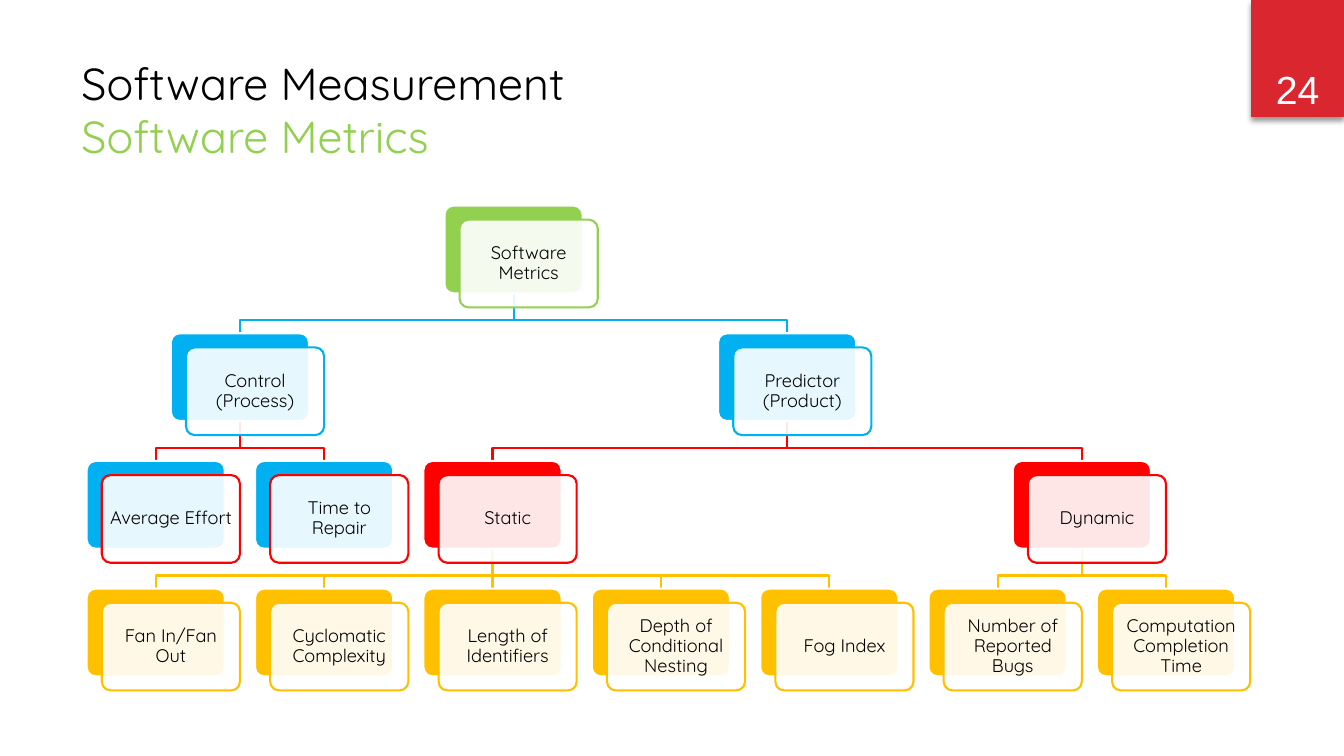
import dataclasses

import lxml.etree
import pptx
import pptx.dml.color
import pptx.enum.shapes
import pptx.enum.text
import pptx.oxml
import pptx.oxml.ns
import pptx.util

In = pptx.util.Inches
Pt = pptx.util.Pt
SHAPE = pptx.enum.shapes.MSO_SHAPE
ALIGN = pptx.enum.text.PP_ALIGN
ANCHOR = pptx.enum.text.MSO_ANCHOR


@dataclasses.dataclass(frozen=True)
class Theme:
    """Colours, fonts and type sizes of the slide."""
    black: str = "000000"
    white: str = "FFFFFF"
    green: str = "92D050"
    blue: str = "00B0F0"
    red: str = "FF0000"
    amber: str = "FFC000"
    badge: str = "DA272F"
    font: str = "Quicksand"
    badge_font: str = "Arial"
    title_size: int = 32
    badge_size: int = 28
    card_size: int = 13
    line: float = 1.5


T = Theme()
CARD_W, CARD_H = 1.37, 0.87
SHIFT_X, SHIFT_Y = 0.15, 0.14
ELBOW = 0.13
COLUMNS, ROWS = 7, 4


@dataclasses.dataclass
class Node:
    """A card of the tree; a leaf gives its column, a parent sits midway over its children."""
    text: str
    back: str
    front: str
    column: float = 0
    children: tuple = ()

    def __post_init__(self):
        """Centre a parent between its first and last child."""
        if self.children:
            self.column = (self.children[0].column + self.children[-1].column) / 2


def leaves(first, names):
    """Return the bottom-row metrics in consecutive columns."""
    return tuple(Node(name, T.amber, T.amber, i) for i, name in enumerate(names, first))


STATIC = Node("Static", T.red, T.red, children=leaves(0, [
    "Fan In/Fan Out", "Cyclomatic Complexity", "Length of Identifiers",
    "Depth of Conditional Nesting", "Fog Index"]))
DYNAMIC = Node("Dynamic", T.red, T.red, children=leaves(5, [
    "Number of Reported Bugs", "Computation Completion Time"]))
CONTROL = Node("Control (Process)", T.blue, T.blue, children=(
    Node("Average Effort", T.blue, T.red, 0), Node("Time to Repair", T.blue, T.red, 1)))
PREDICTOR = Node("Predictor (Product)", T.blue, T.blue, children=(STATIC, DYNAMIC))
METRICS = Node("Software Metrics", T.green, T.green, children=(CONTROL, PREDICTOR))


def rgb(value):
    """Turn a hex string into a colour."""
    return pptx.dml.color.RGBColor.from_string(value)


def set_font(p, size, color, name=T.font):
    """Set the font of a paragraph."""
    p.font.size, p.font.name = Pt(size), name
    p.font.color.rgb = rgb(color)


def set_line(sp, color):
    """Give a shape or connector the common outline."""
    sp.line.color.rgb = rgb(color)
    sp.line.width = Pt(T.line)


def add_title(slide, box, first, second):
    """Place the two-colour title in the box."""
    sp = slide.shapes.add_textbox(*map(In, box))
    tf = sp.text_frame
    tf.word_wrap = True
    p = tf.paragraphs[0]
    p.add_run().text = first
    p.add_line_break()
    r = p.add_run()
    r.text = second
    set_font(p, T.title_size, T.black)
    r.font.color.rgb = rgb(T.green)


def add_badge(slide, box, number):
    """Place the page number on a shadowed block."""
    sp = slide.shapes.add_shape(SHAPE.RECTANGLE, *map(In, box))
    sp.fill.solid()
    sp.fill.fore_color.rgb = rgb(T.badge)
    sp.line.fill.background()
    effects = pptx.oxml.parse_xml(
        f'<a:effectLst {pptx.oxml.ns.nsdecls("a")}>'
        f'<a:outerShdw blurRad="{Pt(4)}" dist="{Pt(3)}" dir="5400000" rotWithShape="0">'
        f'<a:srgbClr val="{T.black}"><a:alpha val="40000"/></a:srgbClr>'
        '</a:outerShdw></a:effectLst>')
    sp._element.spPr.append(effects)
    tf = sp.text_frame
    tf.vertical_anchor = ANCHOR.BOTTOM
    p = tf.paragraphs[0]
    p.text, p.alignment = number, ALIGN.CENTER
    set_font(p, T.badge_size, T.white, T.badge_font)


def add_panel(slide, x, y, fill, line):
    """Draw one rounded panel of a card."""
    sp = slide.shapes.add_shape(SHAPE.ROUNDED_RECTANGLE, In(x), In(y), In(CARD_W), In(CARD_H))
    sp.adjustments[0] = 0.1
    sp.shadow.inherit = False
    sp.fill.solid()
    sp.fill.fore_color.rgb = rgb(fill)
    set_line(sp, line)
    return sp


def add_card(slide, x, y, node):
    """Draw a coloured panel with a translucent labelled panel shifted over it."""
    add_panel(slide, x, y, node.back, T.white)
    sp = add_panel(slide, x + SHIFT_X, y + SHIFT_Y, T.white, node.front)
    color = sp._element.spPr.find(".//" + pptx.oxml.ns.qn("a:srgbClr"))
    lxml.etree.SubElement(color, pptx.oxml.ns.qn("a:alpha"), val="90000")
    tf = sp.text_frame
    tf.word_wrap = True
    tf.vertical_anchor = ANCHOR.MIDDLE
    tf.margin_left = tf.margin_right = tf.margin_top = tf.margin_bottom = In(0.05)
    p = tf.paragraphs[0]
    p.text, p.alignment, p.line_spacing = node.text, ALIGN.CENTER, 0.9
    set_font(p, T.card_size, T.black)


def add_branch(slide, x1, y1, x2, y2, color):
    """Draw the link from a parent to a child, with an elbow unless it runs straight down."""
    if x1 == x2:
        sp = slide.shapes.add_connector(
            pptx.enum.shapes.MSO_CONNECTOR.STRAIGHT, In(x1), In(y1), In(x2), In(y2))
        lxml.etree.SubElement(sp._element.spPr, pptx.oxml.ns.qn("a:effectLst"))
    else:
        bend = In(y2 - ELBOW)
        builder = slide.shapes.build_freeform(In(x1), In(y1))
        builder.add_line_segments(
            [(In(x1), bend), (In(x2), bend), (In(x2), In(y2))], close=False)
        sp = builder.convert_to_shape()
        sp.fill.background()
        sp.shadow.inherit = False
    set_line(sp, color)


def add_tree(slide, box, root):
    """Lay the tree out on a grid of columns and rows inside the box."""
    left, top, width, height = box
    dx = (width - CARD_W - SHIFT_X) / (COLUMNS - 1)
    dy = (height - CARD_H - SHIFT_Y) / (ROWS - 1)
    cards = []

    def visit(node, row):
        """Draw the links below a node and note where its card goes."""
        x, y = left + node.column * dx, top + row * dy
        cards.append((x, y, node))
        for child in node.children:
            child_x = left + child.column * dx
            add_branch(slide, x + CARD_W / 2, y + CARD_H,
                       child_x + CARD_W / 2, y + dy, child.front)
            visit(child, row + 1)

    visit(root, 0)
    for x, y, node in cards:
        add_card(slide, x, y, node)


def main():
    """Build and save the slide."""
    prs = pptx.Presentation()
    prs.slide_width, prs.slide_height = In(13.33), In(7.5)
    slide = prs.slides.add_slide(prs.slide_layouts[6])
    add_title(slide, (0.71, 0.5, 10.29, 1.53), "Software Measurement", "Software Metrics")
    add_tree(slide, (0.86, 2.04, 11.54, 4.81), METRICS)
    add_badge(slide, (12.41, 0, 0.92, 1.16), "24")
    prs.save("out.pptx")


if __name__ == "__main__":
    main()
